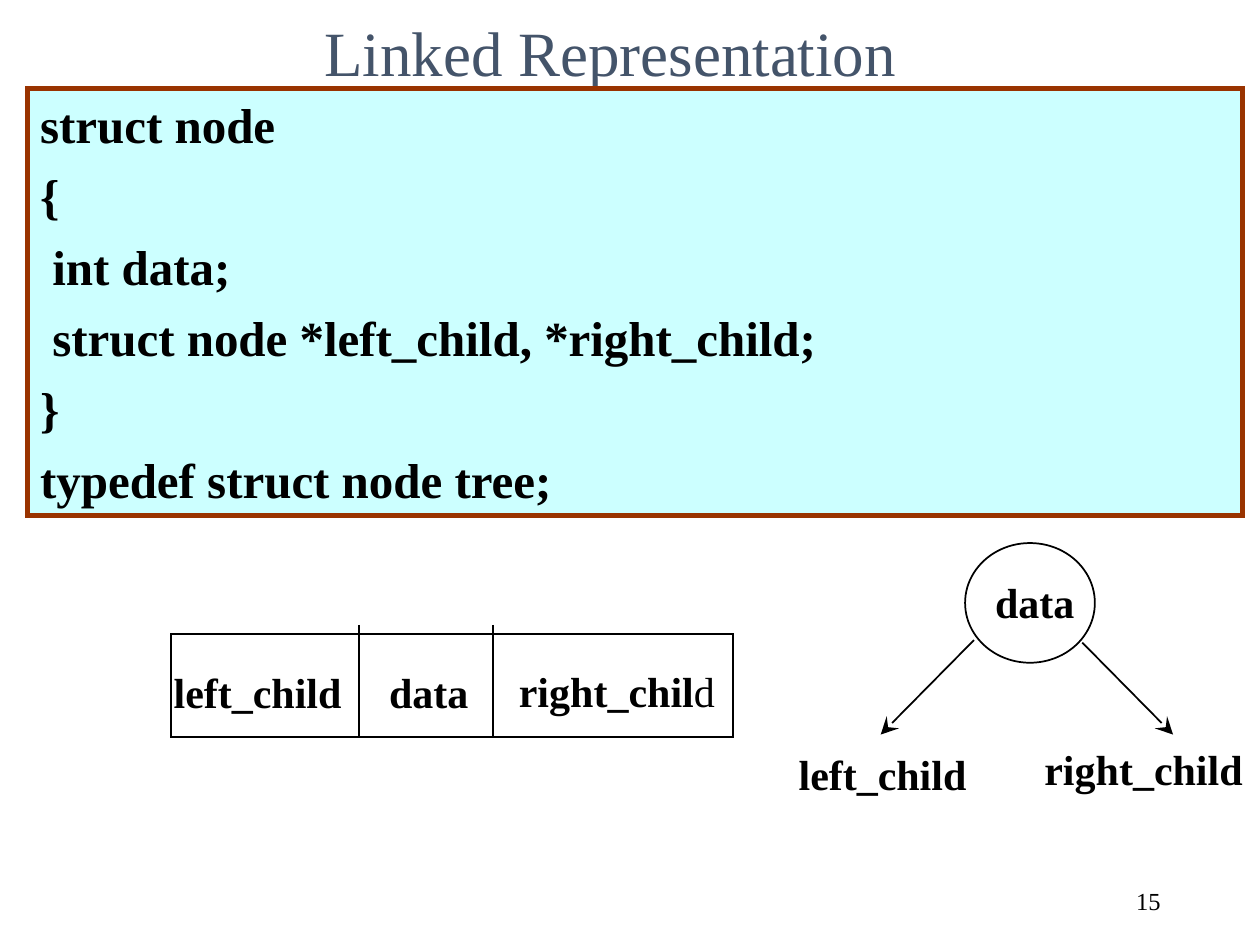
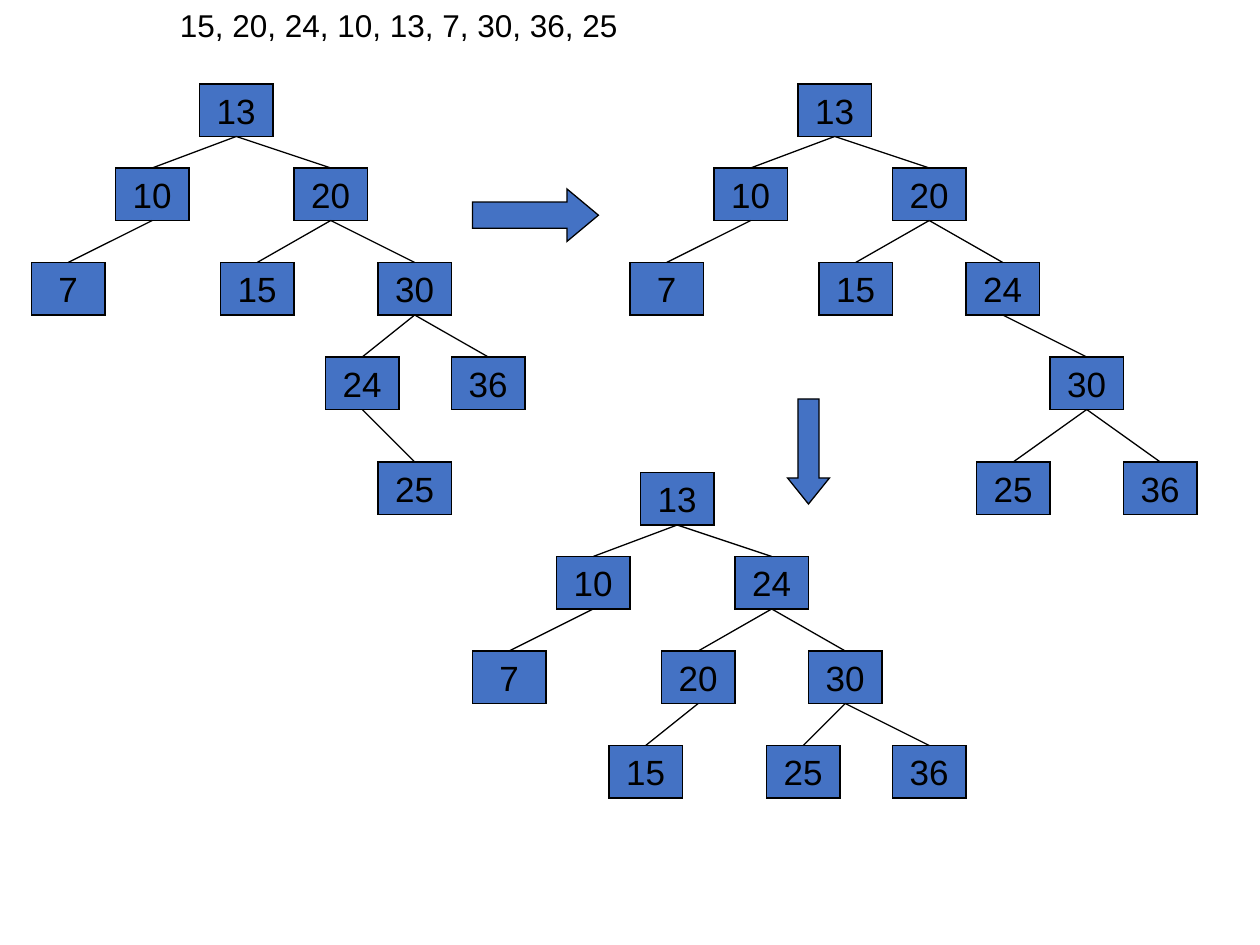
"""Build two slides on linked binary trees and the rebalancing of a search tree."""
import pptx
import pptx.dml.color
import pptx.enum.shapes
import pptx.enum.text
import pptx.oxml.ns
import pptx.util
from lxml import etree

Inches, Pt = pptx.util.Inches, pptx.util.Pt
SHAPE = pptx.enum.shapes.MSO_SHAPE
ALIGN = pptx.enum.text.PP_ALIGN
ANCHOR = pptx.enum.text.MSO_ANCHOR
FIT = pptx.enum.text.MSO_AUTO_SIZE

BLACK, BLUE, SLATE, AQUA, RUST = "000000", "4472C4", "44546A", "CCFFFF", "993300"
SERIF, SANS = "Times New Roman", "Arial"

TITLE = "Linked Representation"
PAGE = "15"
CODE = [
    "struct node",
    "{",
    " int data;",
    " struct node *left_child, *right_child;",
    "}",
    "typedef struct node tree;",
]
LABELS = [
    ([("data", True)], 2.99, 5.24, 0.83),
    ([("left_child", True)], 1.28, 5.24, 1.54),
    ([("right_chil", True), ("d", False)], 4.02, 5.23, 1.76),
    ([("data", True)], 7.8, 4.53, 0.83),
    ([("left_child", True)], 6.24, 5.89, 1.54),
    ([("right_child", True)], 8.19, 5.85, 1.78),
]
BARS = [((2.85, 4.96), (2.85, 5.85)), ((3.91, 4.96), (3.91, 5.84))]
LINKS = [((7.73, 5.08), (6.99, 5.83)), ((8.59, 5.1), (9.31, 5.83))]

KEYS = "15, 20, 24, 10, 13, 7, 30, 36, 25"
UNIT = 12
BOX = (7, 5)
# Each tree: root corner, then (key, parent, offset from root) in twelfths of an inch.
TREES = [
    ((19, 8), [
        (13, None, 0, 0), (10, 13, -8, 8), (20, 13, 9, 8),
        (7, 10, -16, 17), (15, 20, 2, 17), (30, 20, 17, 17),
        (24, 30, 12, 26), (36, 30, 24, 26), (25, 24, 17, 36),
    ]),
    ((76, 8), [
        (13, None, 0, 0), (10, 13, -8, 8), (20, 13, 9, 8),
        (7, 10, -16, 17), (15, 20, 2, 17), (24, 20, 16, 17),
        (30, 24, 24, 26), (25, 30, 17, 36), (36, 30, 31, 36),
    ]),
    ((61, 45), [
        (13, None, 0, 0), (10, 13, -8, 8), (24, 13, 9, 8),
        (7, 10, -16, 17), (20, 24, 2, 17), (30, 24, 16, 17),
        (15, 20, -3, 26), (25, 30, 12, 26), (36, 30, 24, 26),
    ]),
]
STEPS = [
    (SHAPE.RIGHT_ARROW, (45, 18, 12, 5), 0.6),
    (SHAPE.DOWN_ARROW, (75, 38, 4, 10), 0.62),
]


def paint(hue):
    """Turn a hex string into a colour."""
    return pptx.dml.color.RGBColor.from_string(hue)


def add(parent, tag, **marks):
    """Append a drawing element with its attributes."""
    etree.SubElement(parent, pptx.oxml.ns.qn(tag), marks)


def write(para, text, size, font, hue=BLACK, bold=False):
    """Add one formatted run to a paragraph."""
    run = para.add_run()
    run.text = text
    run.font.size, run.font.name, run.font.bold = Pt(size), font, bold
    run.font.color.rgb = paint(hue)


def shape(slide, kind, area, fill=None, line=BLACK, width=1):
    """Add a flat preset shape with sharp corners."""
    item = slide.shapes.add_shape(kind, *map(Inches, area))
    item.shadow.inherit = False
    if fill:
        item.fill.solid()
        item.fill.fore_color.rgb = paint(fill)
    else:
        item.fill.background()
    item.line.color.rgb = paint(line)
    item.line.width = Pt(width)
    add(item.line._get_or_add_ln(), "a:miter", lim="800000")
    return item


def join(slide, start=(0, 0), end=(0, 0), width=1, head=False):
    """Add a straight black line, with an arrowhead at its end if asked."""
    kind = pptx.enum.shapes.MSO_CONNECTOR.STRAIGHT
    item = slide.shapes.add_connector(kind, *map(Inches, start + end))
    item.line.color.rgb = paint(BLACK)
    item.line.width = Pt(width)
    if head:
        add(item.line._get_or_add_ln(), "a:tailEnd", type="stealth", w="lg", len="lg")
    add(item._element.spPr, "a:effectLst")
    return item


def note(slide, area, wrap=True):
    """Add a text box and return its frame."""
    frame = slide.shapes.add_textbox(*map(Inches, area)).text_frame
    frame.word_wrap = wrap
    frame.auto_size = FIT.SHAPE_TO_FIT_TEXT
    return frame


def head(slide):
    """Place and fill the title."""
    title = slide.shapes.title
    title.left, title.top, title.width, title.height = map(Inches, (0.23, 0.15, 9.23, 0.51))
    frame = title.text_frame
    frame.auto_size, frame.vertical_anchor = FIT.NONE, ANCHOR.MIDDLE
    para = frame.paragraphs[0]
    para.alignment = ALIGN.CENTER
    write(para, TITLE, 36, SERIF, SLATE)


def code(slide):
    """Draw the framed listing."""
    frame = shape(slide, SHAPE.RECTANGLE, (0.22, 0.7, 9.64, 3.39), AQUA, RUST, 3).text_frame
    frame.word_wrap, frame.vertical_anchor = True, ANCHOR.TOP
    for row, text in enumerate(CODE):
        para = frame.add_paragraph() if row else frame.paragraphs[0]
        para.alignment = ALIGN.LEFT
        if row:
            para.space_before = Pt(7)
        write(para, text, 28, SERIF, bold=True)


def linked(slide):
    """Fill the slide on the linked node."""
    head(slide)
    code(slide)
    shape(slide, SHAPE.RECTANGLE, (1.36, 5.03, 4.46, 0.82))
    shape(slide, SHAPE.OVAL, (7.66, 4.31, 1.03, 0.95))
    for start, end in BARS:
        join(slide, start, end)
    for start, end in LINKS:
        join(slide, start, end, head=True)
    for runs, left, top, width in LABELS:
        para = note(slide, (left, top, width, 0.5), False).paragraphs[0]
        for text, bold in runs:
            write(para, text, 24, SERIF, bold=bold)
    frame = note(slide, (7.06, 6.95, 2.25, 0.4))
    frame.auto_size, frame.vertical_anchor = FIT.NONE, ANCHOR.MIDDLE
    frame.paragraphs[0].alignment = ALIGN.RIGHT
    write(frame.paragraphs[0], PAGE, 14, SERIF)


def block(slide, kind, cells):
    """Add a blue shape placed in grid units."""
    return shape(slide, kind, [cell / UNIT for cell in cells], BLUE, width=0.75)


def tree(slide, root, nodes):
    """Draw the boxes of a tree and tie each to its parent."""
    boxes = {}
    for key, parent, right, down in nodes:
        box = block(slide, SHAPE.RECTANGLE, (root[0] + right, root[1] + down, *BOX))
        frame = box.text_frame
        frame.word_wrap, frame.vertical_anchor = False, ANCHOR.MIDDLE
        frame.paragraphs[0].alignment = ALIGN.CENTER
        write(frame.paragraphs[0], str(key), 20, SANS)
        boxes[key] = box
        if parent:
            edge = join(slide, width=0.75)
            edge.begin_connect(boxes[parent], 2)
            edge.end_connect(box, 0)


def balance(slide):
    """Fill the slide on rebalancing."""
    para = note(slide, (0.83, 0, 8.17, 0.4)).paragraphs[0]
    para.level = 1
    props = para._p.get_or_add_pPr()
    props.set("marL", str(Inches(0.5)))
    props.set("indent", "0")
    write(para, KEYS, 18, SANS)
    for root, nodes in TREES:
        tree(slide, root, nodes)
    for kind, cells, tip in STEPS:
        block(slide, kind, cells).adjustments[1] = tip


def main():
    """Build and save the deck."""
    deck = pptx.Presentation()
    deck.slide_width, deck.slide_height = Inches(10), Inches(7.5)
    for layout, fill in ((5, linked), (6, balance)):
        fill(deck.slides.add_slide(deck.slide_layouts[layout]))
    deck.save("out.pptx")


if __name__ == "__main__":
    main()
